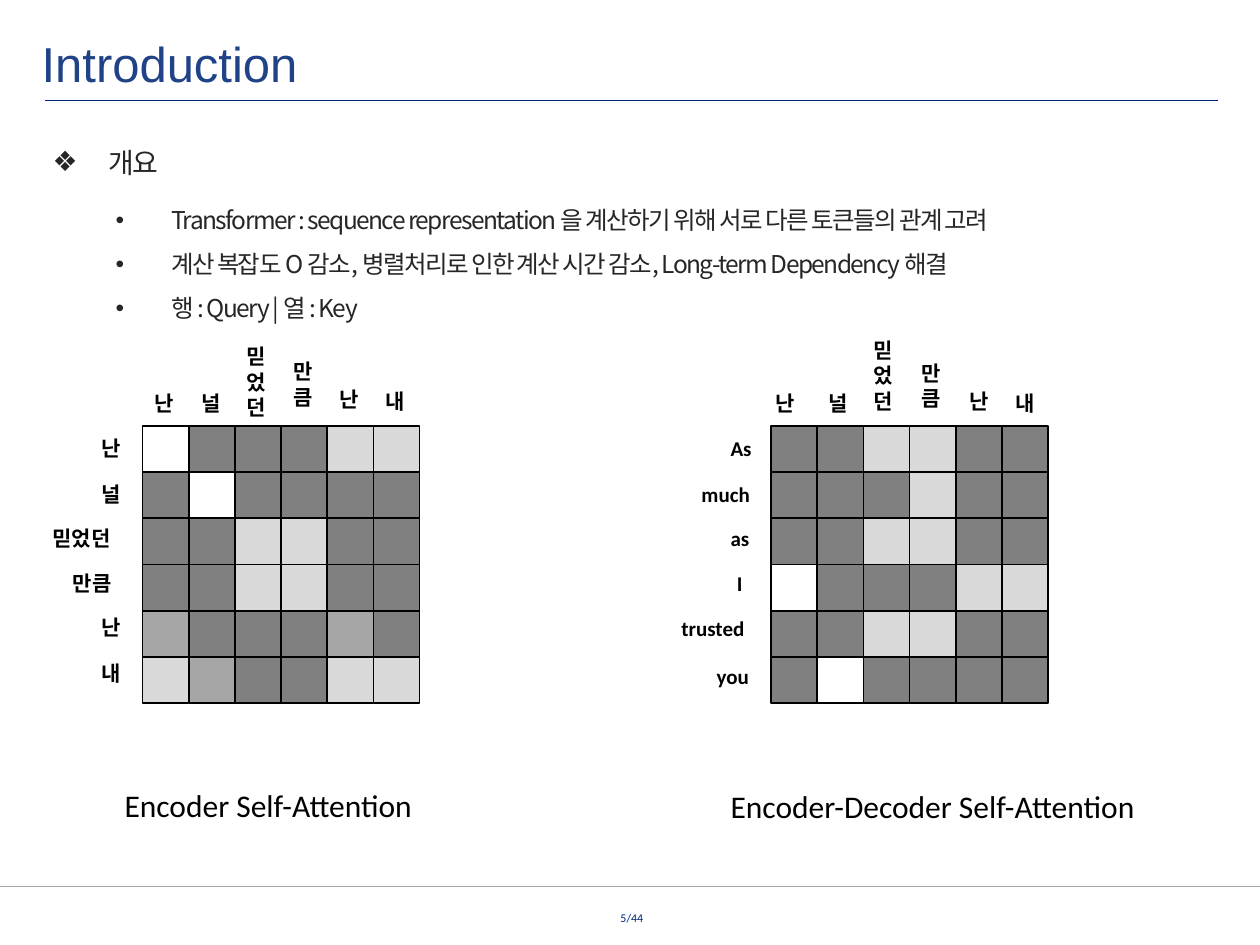
from dataclasses import dataclass

from lxml.etree import SubElement
from pptx import Presentation
from pptx.dml.color import RGBColor as Rgb
from pptx.enum.shapes import MSO_CONNECTOR as Connector, MSO_SHAPE as Shape
from pptx.enum.text import MSO_ANCHOR as Anchor, MSO_AUTO_SIZE as AutoSize, PP_ALIGN as Align
from pptx.oxml.ns import qn
from pptx.util import Pt


@dataclass(frozen=True)
class Theme:
    navy: str = "002776"
    title: str = "204287"
    body: str = "262626"
    black: str = "000000"
    rule: str = "A6A6A6"
    heading_font: str = "Arial"
    body_font: str = "Noto Sans CJK KR"
    label_font: str = "Calibri"
    title_size: float = 28
    caption_size: float = 18
    section_size: float = 16
    body_size: float = 14
    label_size: float = 12
    footer_size: float = 6.8


THEME = Theme()
SHADES = {"W": "FFFFFF", "L": "D9D9D9", "M": "A6A6A6", "D": "808080"}
CELL = 26.4
GRID_TOP = 243.4

BULLETS = [
    "Transformer : sequence representation 을 계산하기 위해 서로 다른 토큰들의 관계 고려",
    "계산 복잡도 O 감소, 병렬처리로 인한 계산 시간 감소, Long-term Dependency 해결",
    "행 : Query | 열 : Key",
]

# Attention weights: one letter of SHADES per cell
ENCODER_GRID = ["WDDDLL", "DWDDDD", "DDLLDD", "DDLLDD", "MDDDMD", "LMDDLL"]
CROSS_GRID = ["DDLLDD", "DDDLDD", "DDLLDD", "WDDDLL", "DDLLDD", "DWDDDD"]

# Labels: text, left, top, width, height
ENCODER_LABELS = [
    ("난", 51.1, 245.5, 26.6, 21.6), ("널", 51.1, 271.4, 26.6, 21.6),
    ("믿었던", 23, 296.6, 54, 21.6), ("만큼", 34.6, 322.6, 43.2, 21.6),
    ("난", 51.1, 347.8, 26.6, 21.6), ("내", 51.1, 373.7, 26.6, 21.6),
    ("난", 81.4, 219.6, 26.6, 21.6), ("널", 108, 219.6, 26.6, 21.6),
    ("믿\n었\n던", 133.9, 193, 30.2, 51.1), ("만\n큼", 160.6, 201.6, 24.5, 36),
    ("난", 187.2, 217.4, 26.6, 21.6), ("내", 213.1, 218.2, 26.6, 21.6),
]
CROSS_LABELS = [
    ("As", 410.4, 245.5, 26.6, 21.6), ("much", 393.8, 271.4, 43.2, 21.6),
    ("as", 410.4, 296.6, 26.6, 21.6), ("I", 414, 322.6, 22.3, 21.6),
    ("trusted", 382.3, 348.5, 55.4, 21.6), ("you", 402.5, 375.8, 38.2, 21.6),
    ("난", 436.3, 219.6, 30.2, 21.6), ("널", 466.6, 219.6, 30.2, 21.6),
    ("믿었던", 491.8, 189.4, 30.2, 51.1), ("만큼", 519.8, 202.3, 26.6, 36),
    ("난", 547.2, 218.2, 24.5, 21.6), ("내", 573.1, 219.6, 24.5, 21.6),
]


def color(value):
    return Rgb.from_string(value)


def add_bullet(paragraph, character, margin, indent):
    properties = paragraph._p.get_or_add_pPr()
    properties.set("marL", str(Pt(margin)))
    properties.set("indent", str(Pt(indent)))
    SubElement(properties, qn("a:buFont")).set("typeface", THEME.heading_font)
    SubElement(properties, qn("a:buChar")).set("char", character)


def write_text(shape, text, *, size, font, fill, bold=False, align=Align.LEFT, wrap=True,
               inset=None, line_height=None, tracking=None, bullet=None, margin=0, level=0):
    """Fill a shape with one paragraph per line of text."""
    frame = shape.text_frame
    frame.text = text
    frame.word_wrap = wrap
    frame.auto_size = AutoSize.NONE
    frame.vertical_anchor = Anchor.TOP
    if inset is not None:
        frame.margin_left = frame.margin_right = Pt(inset)
        frame.margin_top = frame.margin_bottom = Pt(inset)
    for paragraph in frame.paragraphs:
        paragraph.alignment = align
        paragraph.level = level
        if line_height:
            paragraph.line_spacing = Pt(line_height)
        if bullet:
            add_bullet(paragraph, bullet, margin, -31.7)
        for run in paragraph.runs:
            run.font.size = Pt(size)
            run.font.name = font
            run.font.bold = bold
            run.font.color.rgb = color(fill)
            if tracking:
                run.font._element.set("spc", str(round(tracking * 100)))


def add_text(slide, text, left, top, width, height, **text_format):
    box = slide.shapes.add_textbox(Pt(left), Pt(top), Pt(width), Pt(height))
    write_text(box, text, **text_format)


def add_rule(slide, left, right, y, fill, weight):
    rule = slide.shapes.add_connector(Connector.STRAIGHT, Pt(left), Pt(y), Pt(right), Pt(y))
    rule.line.color.rgb = color(fill)
    rule.line.width = Pt(weight)
    SubElement(rule._element.spPr, qn("a:effectLst"))


def add_title(slide, text):
    title = slide.shapes.title
    title.left, title.top, title.width, title.height = Pt(16.6), Pt(15.8), Pt(594.7), Pt(41)
    write_text(title, text, size=THEME.title_size, font=THEME.heading_font, fill=THEME.title)


def add_cell(slide, left, top, fill):
    cell = slide.shapes.add_shape(Shape.RECTANGLE, Pt(left), Pt(top), Pt(CELL), Pt(CELL))
    cell.shadow.inherit = False
    cell.fill.solid()
    cell.fill.fore_color.rgb = color(fill)
    cell.line.color.rgb = color(THEME.black)
    cell.line.width = Pt(1)


def add_attention_map(slide, left, grid, labels):
    for row, shades in enumerate(grid):
        for column, shade in enumerate(shades):
            add_cell(slide, left + column * CELL, GRID_TOP + row * CELL, SHADES[shade])
    for text, *place in labels:
        stacked = place[-1] > CELL
        add_text(slide, text, *place, size=THEME.label_size, font=THEME.label_font,
                 fill=THEME.black, bold=True, wrap=stacked)


def main():
    presentation = Presentation()
    presentation.slide_width, presentation.slide_height = Pt(720), Pt(540)
    slide = presentation.slides.add_slide(presentation.slide_layouts[5])

    add_text(slide, "5/44", 273.6, 523.4, 175, 15.1, size=THEME.footer_size,
             font=THEME.label_font, fill=THEME.navy, align=Align.CENTER, inset=0,
             line_height=5.1)
    add_rule(slide, 25.9, 696.2, 57.4, THEME.navy, 0.75)
    add_rule(slide, 0, 720, 506.2, THEME.rule, 0.25)
    add_title(slide, "Introduction")

    body = dict(font=THEME.body_font, fill=THEME.body, tracking=-0.9)
    add_text(slide, "\n".join(BULLETS), 23, 105.1, 632.2, 80.6, size=THEME.body_size,
             line_height=25.2, bullet="•", margin=67.7, level=1, **body)
    add_text(slide, "개요", 23, 69.1, 675.4, 32.4, size=THEME.section_size,
             line_height=29.5, bullet="❖", margin=31.7, **body)

    add_attention_map(slide, 81.4, ENCODER_GRID, ENCODER_LABELS)
    add_attention_map(slide, 440.6, CROSS_GRID, CROSS_LABELS)

    caption = dict(size=THEME.caption_size, font=THEME.label_font, fill=THEME.black, wrap=False)
    add_text(slide, "Encoder Self-Attention", 64.1, 445.7, 187.9, 28.8, **caption)
    add_text(slide, "Encoder-Decoder Self-Attention", 410.4, 446.4, 267.1, 28.8, **caption)

    presentation.save("out.pptx")


if __name__ == "__main__":
    main()
